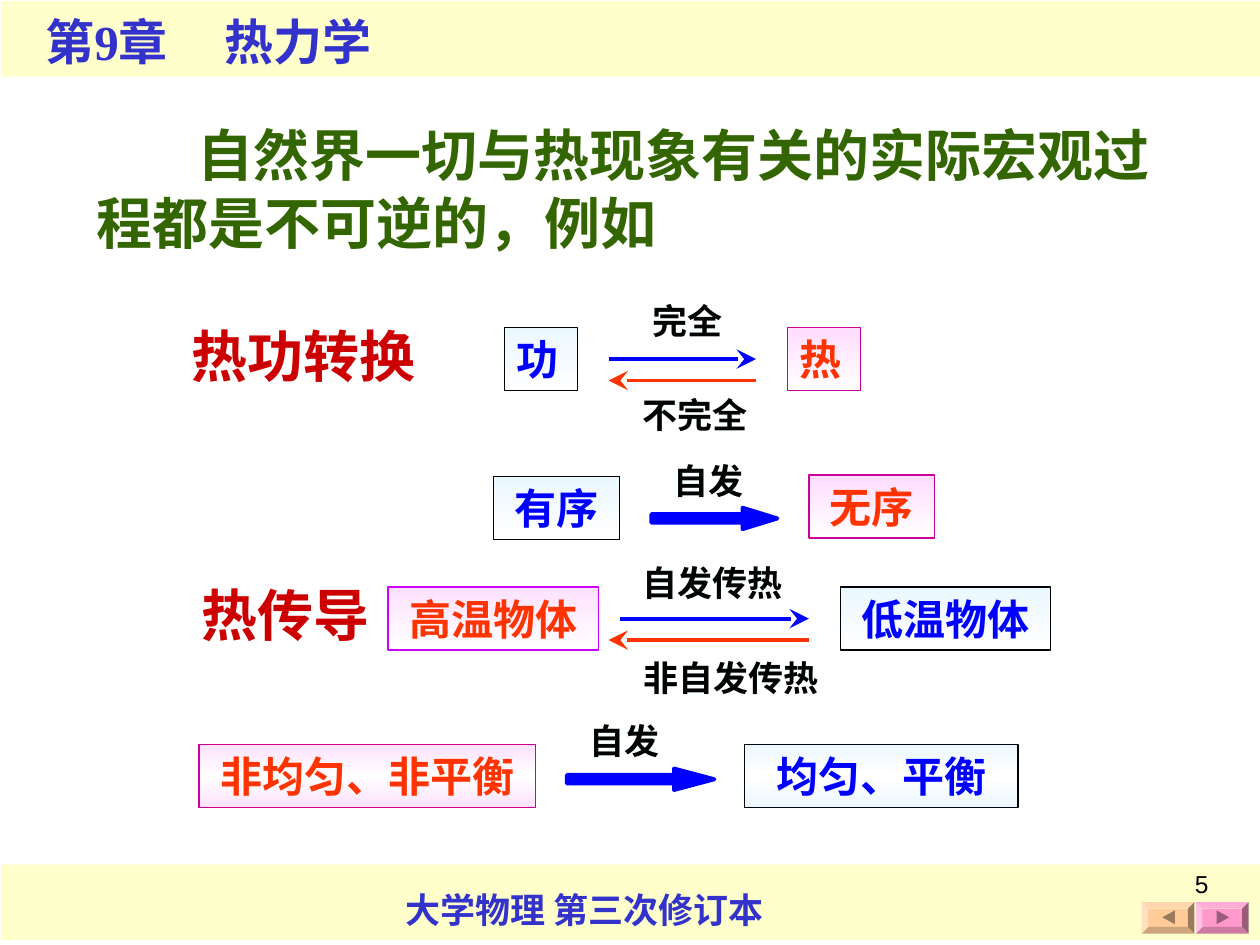
import copy
import pptx
import pptx.util
import pptx.dml.color
import pptx.enum.shapes
import pptx.enum.text
import pptx.oxml.ns
import lxml.etree

Inches = pptx.util.Inches
Pt = pptx.util.Pt
MSO = pptx.enum.shapes.MSO_SHAPE
ALIGN = pptx.enum.text.PP_ALIGN
qn = pptx.oxml.ns.qn
rgb = pptx.dml.color.RGBColor.from_string
BLUE, RED, BLACK, NAVY = "0000FF", "FF3300", "000404", "3333CC"
SKY, PINK, ROSE = "EBF7FF", "FFDDFF", "FDE2FE"

prs = pptx.Presentation()
prs.slide_width, prs.slide_height = Inches(10), Inches(7.5)
s = prs.slides.add_slide(prs.slide_layouts[5])


def write(sp, text, size, color, font="Arial", bold=True, align=ALIGN.LEFT):
    tf = sp.text_frame
    tf.word_wrap = True
    tf.auto_size = pptx.enum.text.MSO_AUTO_SIZE.NONE
    tf.vertical_anchor = pptx.enum.text.MSO_ANCHOR.TOP
    p = tf.paragraphs[0]
    p.text = text
    p.alignment = align
    p.font.name, p.font.size, p.font.bold = font, Pt(size), bold
    p.font.color.rgb = rgb(color)
    return p


def add_shape(kind, x, y, w, h, fill, line=None, width=0.75):
    sp = s.shapes.add_shape(kind, Inches(x), Inches(y), Inches(w), Inches(h))
    sp.shadow.inherit = False
    sp.fill.solid()
    sp.fill.fore_color.rgb = rgb(fill)
    if line:
        sp.line.color.rgb = rgb(line)
        sp.line.width = Pt(width)
    else:
        sp.line.fill.background()
    return sp


for y in (6.86, 0.01):
    add_shape(MSO.RECTANGLE, 0.01, y, 9.99, 0.6, "FFFFCC")

title = s.shapes.title
title.left, title.top, title.width, title.height = Inches(0.26), Inches(0.04), Inches(3.1), Inches(0.57)
s.shapes._spTree.append(title._element)
p = write(title, "第9章\t热力学", 28, NAVY, "Times New Roman")
tabs = lxml.etree.Element(qn("a:tabLst"))
lxml.etree.SubElement(tabs, qn("a:tab"), pos=str(Inches(1.42)), algn="l")
p._p.get_or_add_pPr().insert(0, tabs)

for x, fill, mark, turn in ((9.49, "FF99CC", "995C7A", 90), (9.06, "FFCC99", "997A5C", -90)):
    sp = add_shape(MSO.BEVEL, x, 7.16, 0.42, 0.25, fill)
    sp.adjustments[0] = 0.21
    sp = add_shape(MSO.ISOSCELES_TRIANGLE, x + 0.16, 7.23, 0.11, 0.1, mark)
    sp.rotation = turn

for x, y, w, h, text, size, color, font in (
    (3.12, 7, 3.12, 0.44, "大学物理 第三次修订本", 20, NAVY, "Times New Roman"),
    (0.67, 0.91, 8.9, 1.17, "自然界一切与热现象有关的实际宏观过程都是不可逆的，例如", 32, "336600", "Times New Roman"),
    (1.42, 2.5, 2.24, 0.64, "热功转换", 32, "CC0000", "Arial"),
    (1.5, 4.56, 1.69, 0.64, "热传导", 32, "CC0000", "Arial"),
    (5.08, 2.33, 0.83, 0.44, "完全", 20, BLACK, "Arial"),
    (5, 3.07, 1.08, 0.44, "不完全", 20, BLACK, "Arial"),
    (5.25, 3.6, 0.83, 0.44, "自发", 20, BLACK, "Arial"),
    (5, 4.41, 1.5, 0.44, "自发传热", 20, BLACK, "Arial"),
    (5.01, 5.16, 1.67, 0.44, "非自发传热", 20, BLACK, "Arial"),
    (4.58, 5.66, 0.83, 0.44, "自发", 20, BLACK, "Arial"),
):
    sp = s.shapes.add_textbox(Inches(x), Inches(y), Inches(w), Inches(h))
    p = write(sp, text, size, color, font)
    if text.startswith("自然界"):
        p._p.get_or_add_pPr().set("indent", str(Inches(0.8)))

for x, y, w, text, color, tint, line, width, stops in (
    (4, 2.6, 0.58, "功", BLUE, SKY, BLACK, 0.5, 2),
    (6.25, 2.6, 0.58, "热", RED, PINK, "CC0099", 0.5, 2),
    (3.92, 3.78, 1, "有序", BLUE, SKY, BLACK, 0.5, 2),
    (6.42, 3.77, 1, "无序", RED, PINK, "CC0099", 0.75, 2),
    (3.08, 4.66, 1.67, "高温物体", RED, ROSE, "CC00FF", 0.75, 2),
    (6.67, 4.66, 1.67, "低温物体", BLUE, SKY, BLACK, 0.75, 2),
    (1.58, 5.91, 2.67, "非均匀、非平衡", RED, ROSE, "CC0099", 0.75, 3),
    (5.91, 5.91, 2.17, "均匀、平衡", BLUE, SKY, BLACK, 0.75, 3),
):
    sp = add_shape(MSO.RECTANGLE, x, y, w, 0.5, tint, line, width)
    sp.fill.gradient()
    sp.fill.gradient_angle = 270
    if stops == 3:
        gs = sp._element.spPr.find(".//" + qn("a:gs"))
        gs.addnext(copy.deepcopy(gs))
    for i, stop in enumerate(sp.fill.gradient_stops):
        stop.position = i / (stops - 1)
        stop.color.rgb = rgb("FFFFFF" if i == 1 else tint)
    write(sp, text, 24, color, align=ALIGN.LEFT if len(text) == 1 else ALIGN.CENTER)

for x1, x2, y, color in (
    (4.83, 6, 2.85, BLUE),
    (6, 4.83, 3.02, RED),
    (4.92, 6.42, 4.91, BLUE),
    (6.42, 4.83, 5.08, RED),
):
    c = s.shapes.add_connector(pptx.enum.shapes.MSO_CONNECTOR.STRAIGHT, Inches(x1), Inches(y), Inches(x2), Inches(y))
    c.line.color.rgb = rgb(color)
    c.line.width = Pt(2.25)
    lxml.etree.SubElement(c.line._get_or_add_ln(), qn("a:tailEnd"), type="stealth", w="lg", len="lg")
    lxml.etree.SubElement(c._element.spPr, qn("a:effectLst"))

for x, y, w, head in ((5.17, 4.03, 1, 1.62), (4.5, 6.1, 1.17, 1.88)):
    sp = add_shape(MSO.RIGHT_ARROW, x, y, w, 0.17, BLUE, BLUE, 2.25)
    sp.adjustments[0], sp.adjustments[1] = 0.4, head

sp = s.shapes.add_textbox(Inches(7.36), Inches(6.85), Inches(2.33), Inches(0.52))
write(sp, "5", 14, "000000", bold=False, align=ALIGN.RIGHT)

prs.save("out.pptx")
